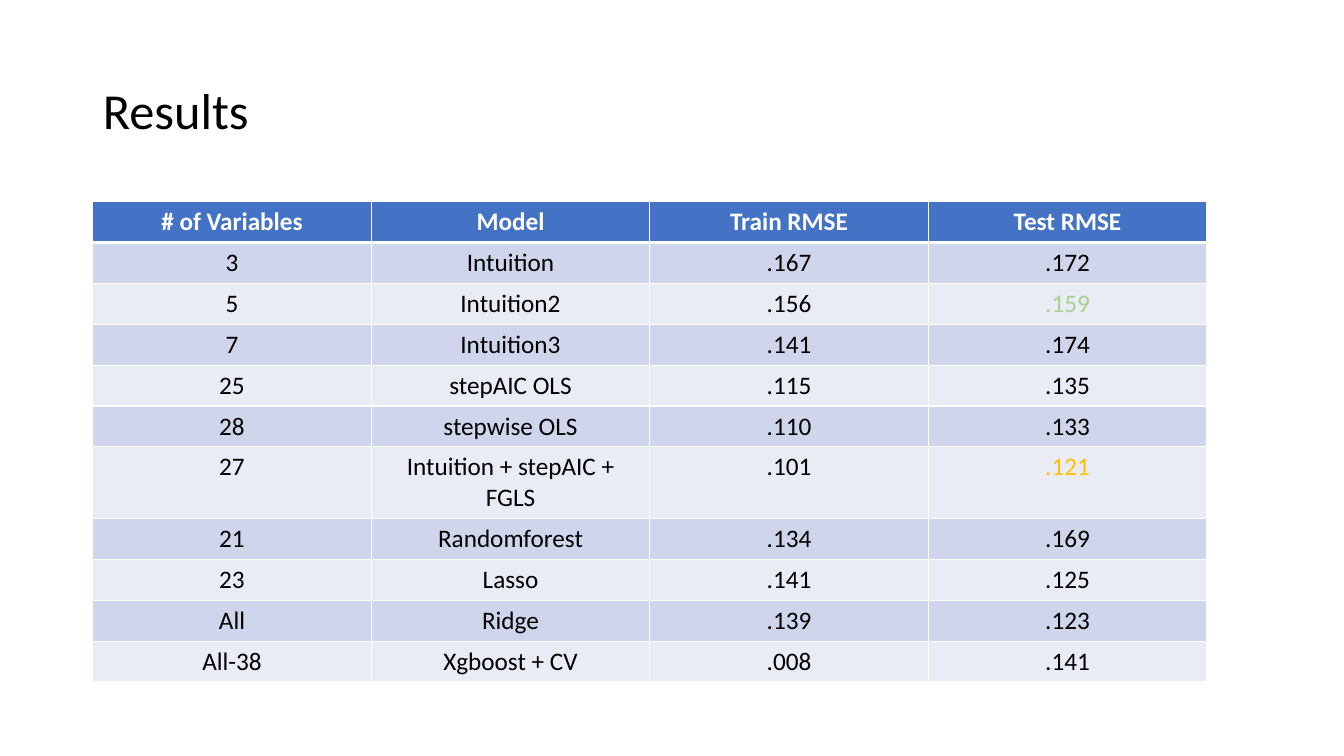
from lxml.etree import SubElement
from pptx import Presentation
from pptx.dml.color import RGBColor
from pptx.enum.text import MSO_ANCHOR, PP_ALIGN
from pptx.oxml.ns import qn
from pptx.util import Inches, Pt

BLACK = RGBColor(0x00, 0x00, 0x00)
WHITE = RGBColor(0xFF, 0xFF, 0xFF)
BLUE = RGBColor(0x44, 0x72, 0xC4)
DARK_BAND = RGBColor(0xCF, 0xD5, 0xEA)
LIGHT_BAND = RGBColor(0xE9, 0xEB, 0xF5)
GREEN = RGBColor(0xA9, 0xD1, 0x8E)
GOLD = RGBColor(0xFF, 0xC0, 0x00)

RESULTS = [
    ("# of Variables", "Model", "Train RMSE", "Test RMSE"),
    ("3", "Intuition", ".167", ".172"),
    ("5", "Intuition2", ".156", ".159"),
    ("7", "Intuition3", ".141", ".174"),
    ("25", "stepAIC OLS", ".115", ".135"),
    ("28", "stepwise OLS", ".110", ".133"),
    ("27", "Intuition + stepAIC + FGLS", ".101", ".121"),
    ("21", "Randomforest", ".134", ".169"),
    ("23", "Lasso", ".141", ".125"),
    ("All", "Ridge", ".139", ".123"),
    ("All-38", "Xgboost + CV", ".008", ".141"),
]
HIGHLIGHTS = {(2, 3): GREEN, (6, 3): GOLD}


class SlideBuilder:
    """Holds the text style and the current slide."""

    font_name = "Calibri"

    def __init__(self, slide):
        self.slide = slide

    def style(self, paragraph, size, color, alignment, bold=False):
        paragraph.alignment = alignment
        font = paragraph.font
        font.name, font.size, font.bold = self.font_name, Pt(size), bold
        font.color.rgb = color

    def title(self, text, left, top, width, height):
        shape = self.slide.shapes.title
        shape.left, shape.top = Inches(left), Inches(top)
        shape.width, shape.height = Inches(width), Inches(height)
        frame = shape.text_frame
        frame.text = text
        frame.vertical_anchor = MSO_ANCHOR.MIDDLE
        paragraph = frame.paragraphs[0]
        paragraph.line_spacing = 0.9
        self.style(paragraph, 36, BLACK, PP_ALIGN.LEFT)

    def borders(self, cell, top=1, bottom=1):
        properties = cell._tc.get_or_add_tcPr()
        for side, width in (("L", 1), ("R", 1), ("T", top), ("B", bottom)):
            line = SubElement(properties, qn(f"a:ln{side}"), w=str(Pt(width)))
            fill = SubElement(line, qn("a:solidFill"))
            SubElement(fill, qn("a:srgbClr"), val=str(WHITE))

    def table(self, rows, highlights, left, top, width, row_height):
        table = self.slide.shapes.add_table(
            len(rows), len(rows[0]), Inches(left), Inches(top),
            Inches(width), Inches(row_height * len(rows))).table
        for row, values in enumerate(rows):
            header = row == 0
            band = BLUE if header else DARK_BAND if row % 2 else LIGHT_BAND
            for column, value in enumerate(values):
                cell = table.cell(row, column)
                cell.text = value
                # A thick rule separates the header from the first row
                self.borders(cell, top=3 if row == 1 else 1,
                             bottom=3 if header else 1)
                cell.fill.solid()
                cell.fill.fore_color.rgb = band
                color = highlights.get((row, column), WHITE if header else BLACK)
                self.style(cell.text_frame.paragraphs[0], 18, color,
                           PP_ALIGN.CENTER, bold=header)


def main():
    presentation = Presentation()
    presentation.slide_width = Inches(13.33)
    presentation.slide_height = Inches(7.5)
    title_only = presentation.slide_layouts[5]
    builder = SlideBuilder(presentation.slides.add_slide(title_only))

    # Heading
    builder.title("Results", 0.92, 0.4, 11.5, 1.45)

    # Model comparison
    builder.table(RESULTS, HIGHLIGHTS, 0.92, 2, 11.05, 0.4)

    presentation.save("out.pptx")


if __name__ == "__main__":
    main()
